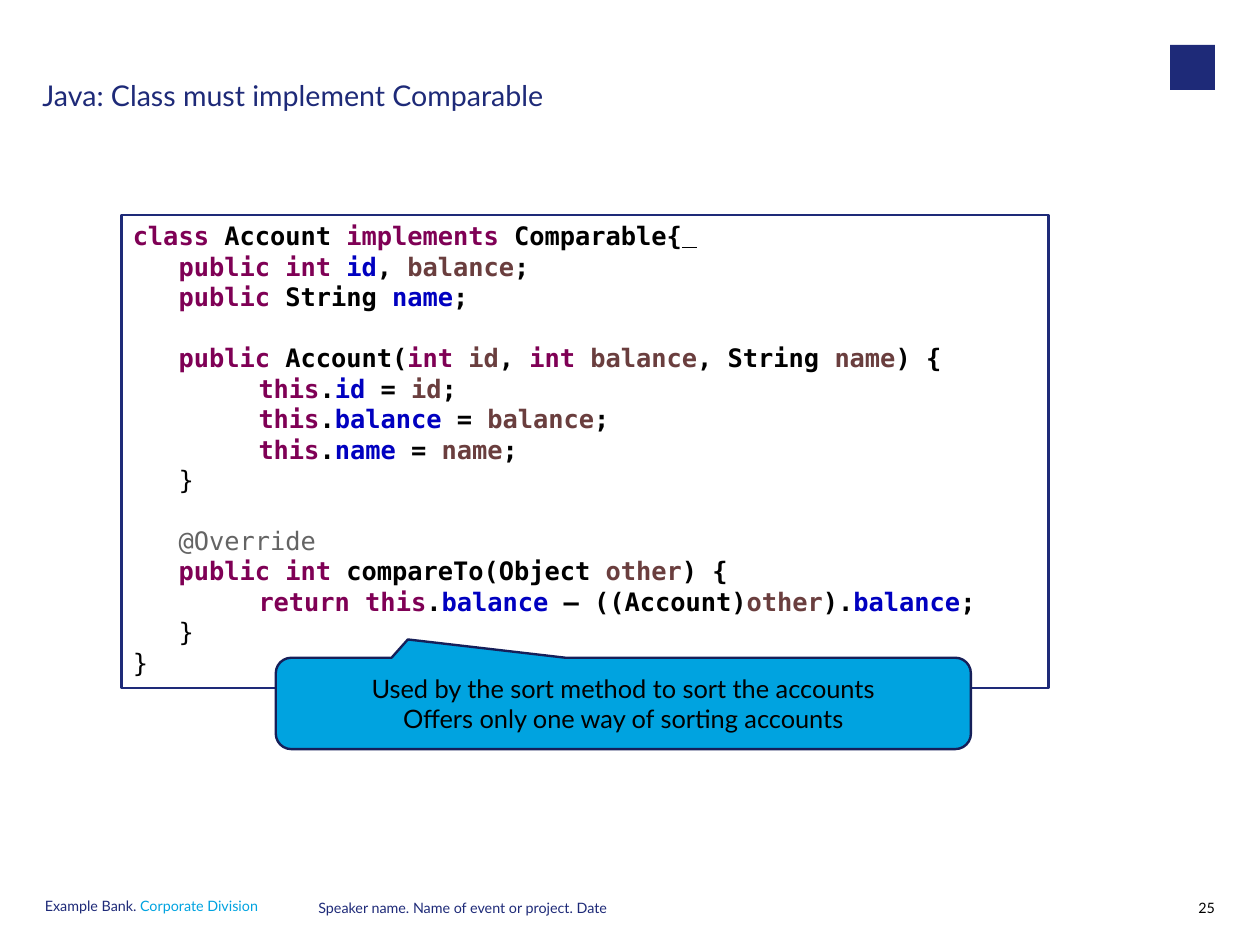
from lxml import etree
from pptx import Presentation
from pptx.dml.color import RGBColor
from pptx.enum.shapes import MSO_SHAPE
from pptx.enum.text import MSO_ANCHOR, PP_ALIGN
from pptx.oxml.ns import qn
from pptx.util import Cm, Inches, Pt

RECTANGLE = MSO_SHAPE.RECTANGLE
CALLOUT = MSO_SHAPE.ROUNDED_RECTANGULAR_CALLOUT
TOP, MIDDLE = MSO_ANCHOR.TOP, MSO_ANCHOR.MIDDLE
LEFT, CENTER, RIGHT = PP_ALIGN.LEFT, PP_ALIGN.CENTER, PP_ALIGN.RIGHT

NAVY = RGBColor(0x1E, 0x2A, 0x78)
DARK_NAVY = RGBColor(0x16, 0x1F, 0x59)
CYAN = RGBColor(0x00, 0xA3, 0xE0)
BLACK = RGBColor(0x00, 0x00, 0x00)
WHITE = RGBColor(0xFF, 0xFF, 0xFF)
KEYWORD = RGBColor(0x7F, 0x00, 0x55)
FIELD = RGBColor(0x00, 0x00, 0xC0)
VARIABLE = RGBColor(0x6A, 0x3E, 0x3E)
ANNOTATION = RGBColor(0x64, 0x64, 0x64)

SANS, MONO = "Lato", "DejaVu Sans Mono"
SLIDE_WIDTH, SLIDE_HEIGHT = Cm(28), Cm(21)
CODE_PITCH = Pt(19.2)
CODE_TAB = Inches(1.1)


def assignment(name):
    return [("\tthis", KEYWORD), (".", BLACK), (name, FIELD), (" = ", BLACK),
            (name, VARIABLE), (";", BLACK)]


DECLARATIONS = [
    [("class", KEYWORD), (" Account ", BLACK), ("implements", KEYWORD),
     (" Comparable{", BLACK), (" ", BLACK)],
    [("   public int ", KEYWORD), ("id", FIELD), (", ", BLACK),
     ("balance", VARIABLE), (";", BLACK)],
    [("   public", KEYWORD), (" String ", BLACK), ("name", FIELD), (";", BLACK)],
]
CONSTRUCTOR = [
    [("   public", KEYWORD), (" Account(", BLACK), ("int ", KEYWORD),
     ("id", VARIABLE), (", ", BLACK), ("int ", KEYWORD), ("balance", VARIABLE),
     (", String ", BLACK), ("name", VARIABLE), (") {", BLACK)],
    *[assignment(name) for name in ("id", "balance", "name")],
    [("   }", BLACK)],
]
COMPARISON = [
    [("   @Override", ANNOTATION)],
    [("   public int ", KEYWORD), ("compareTo(Object ", BLACK),
     ("other", VARIABLE), (") {", BLACK)],
    [("\treturn this", KEYWORD), (".", BLACK), ("balance ", FIELD),
     ("– ((Account)", BLACK), ("other", VARIABLE), (").", BLACK),
     ("balance", FIELD), (";", BLACK)],
    [("   }", BLACK)],
    [("}", BLACK)],
]


def area(left, top, width, height):
    return (int(SLIDE_WIDTH * left / 100), int(SLIDE_HEIGHT * top / 100),
            int(SLIDE_WIDTH * width / 100), int(SLIDE_HEIGHT * height / 100))


def prepare(frame, anchor, margin=None):
    frame.word_wrap = True
    frame.vertical_anchor = anchor
    if margin is not None:
        frame.margin_left = frame.margin_right = margin
        frame.margin_top = frame.margin_bottom = margin


def format_paragraph(paragraph, font_name, size, align, spacing=None):
    paragraph.alignment = align
    paragraph.line_spacing = spacing
    paragraph.font.name = font_name
    paragraph.font.size = Pt(size)


def add_panel(slide, preset, bounds, fill, line=None):
    panel = slide.shapes.add_shape(preset, *bounds)
    panel.shadow.inherit = False
    panel.fill.solid()
    panel.fill.fore_color.rgb = fill
    if line is None:
        panel.line.fill.background()
    else:
        panel.line.color.rgb = line
        panel.line.width = Pt(1.5)
    return panel


def add_title(slide, text):
    title = slide.shapes.title
    title.left, title.top, title.width, title.height = area(3.37, 8.65, 85.93, 7.38)
    prepare(title.text_frame, TOP, 0)
    title.text_frame.text = text
    heading = title.text_frame.paragraphs[0]
    format_paragraph(heading, SANS, 18, LEFT, 0.9)
    heading.font.color.rgb = NAVY


def add_footer(slide, bounds, parts, align=LEFT):
    frame = slide.shapes.add_textbox(*bounds).text_frame
    prepare(frame, TOP, 0)
    paragraph = frame.paragraphs[0]
    format_paragraph(paragraph, SANS, 9, align, Pt(9))
    for text, color in parts:
        run = paragraph.add_run()
        run.text = text
        run.font.color.rgb = color


def add_code_line(paragraph, tokens):
    tabs = etree.SubElement(paragraph._p.get_or_add_pPr(), qn("a:tabLst"))
    etree.SubElement(tabs, qn("a:tab"), pos=str(CODE_TAB), algn="l")
    format_paragraph(paragraph, MONO, 16, LEFT, CODE_PITCH)
    for text, color in tokens:
        run = paragraph.add_run()
        run.text = text
        run.font.color.rgb = color
        run.font.bold = text.strip() != "}" and color != ANNOTATION
        if text == " ":
            run.font.underline = True


def add_code(slide, bounds, blocks):
    frame = add_panel(slide, RECTANGLE, bounds, WHITE, NAVY).text_frame
    prepare(frame, TOP)
    for block_index, block in enumerate(blocks):
        for line_index, tokens in enumerate(block):
            is_first = block_index == line_index == 0
            paragraph = frame.paragraphs[0] if is_first else frame.add_paragraph()
            add_code_line(paragraph, tokens)
            if block_index and line_index == 0:
                paragraph.space_before = CODE_PITCH


def add_callout(slide, bounds, pointer, remarks):
    callout = add_panel(slide, CALLOUT, bounds, CYAN, DARK_NAVY)
    for index, value in enumerate(pointer):
        callout.adjustments[index] = value
    frame = callout.text_frame
    prepare(frame, MIDDLE)
    frame.text = "\v".join(remarks)
    remark = frame.paragraphs[0]
    format_paragraph(remark, SANS, 16, CENTER)
    remark.font.color.rgb = BLACK


def main():
    deck = Presentation()
    deck.slide_width, deck.slide_height = SLIDE_WIDTH, SLIDE_HEIGHT
    slide = deck.slides.add_slide(deck.slide_layouts[5])

    add_title(slide, "Java: Class must implement Comparable")
    add_panel(slide, RECTANGLE, area(92.86, 4.75, 3.57, 4.76), NAVY)
    add_footer(slide, area(3.56, 95.2, 19.87, 2.42),
               [("Example Bank. ", NAVY), ("Corporate Division", CYAN)])
    add_footer(slide, area(25.27, 95.48, 49, 2.42),
               [("Speaker name. Name of event or project. Date", NAVY)])
    add_footer(slide, area(92.88, 95.48, 3.54, 2.42), [("25", BLACK)], RIGHT)
    add_code(slide, area(9.65, 22.74, 73.57, 50.06),
             [DECLARATIONS, CONSTRUCTOR, COMPARISON])
    add_callout(slide, area(21.89, 69.6, 55.17, 9.67), (-0.31, -0.7, 0.17),
                ["Used by the sort method to sort the accounts",
                 "Offers only one way of sorting accounts"])
    deck.save("out.pptx")


if __name__ == "__main__":
    main()
